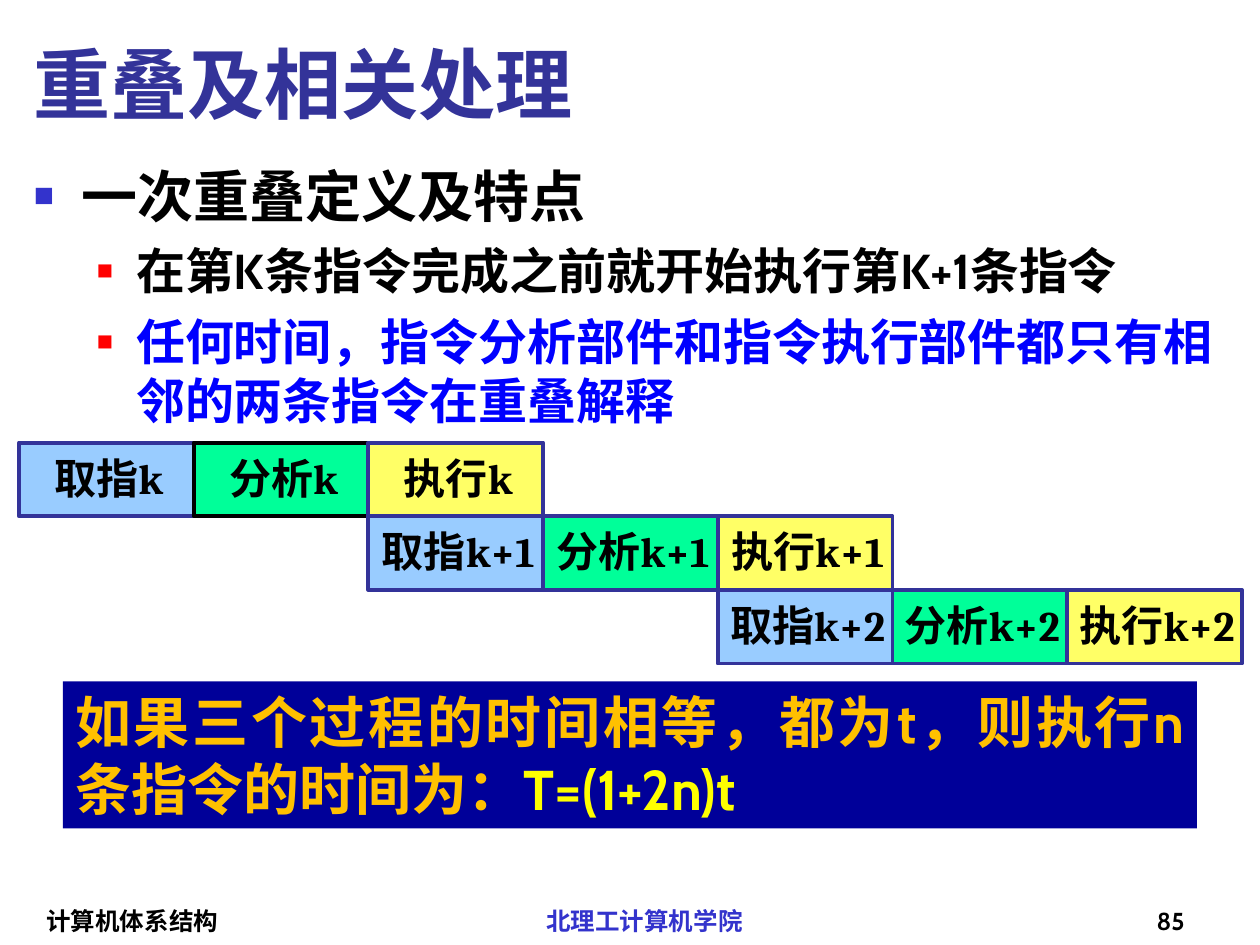
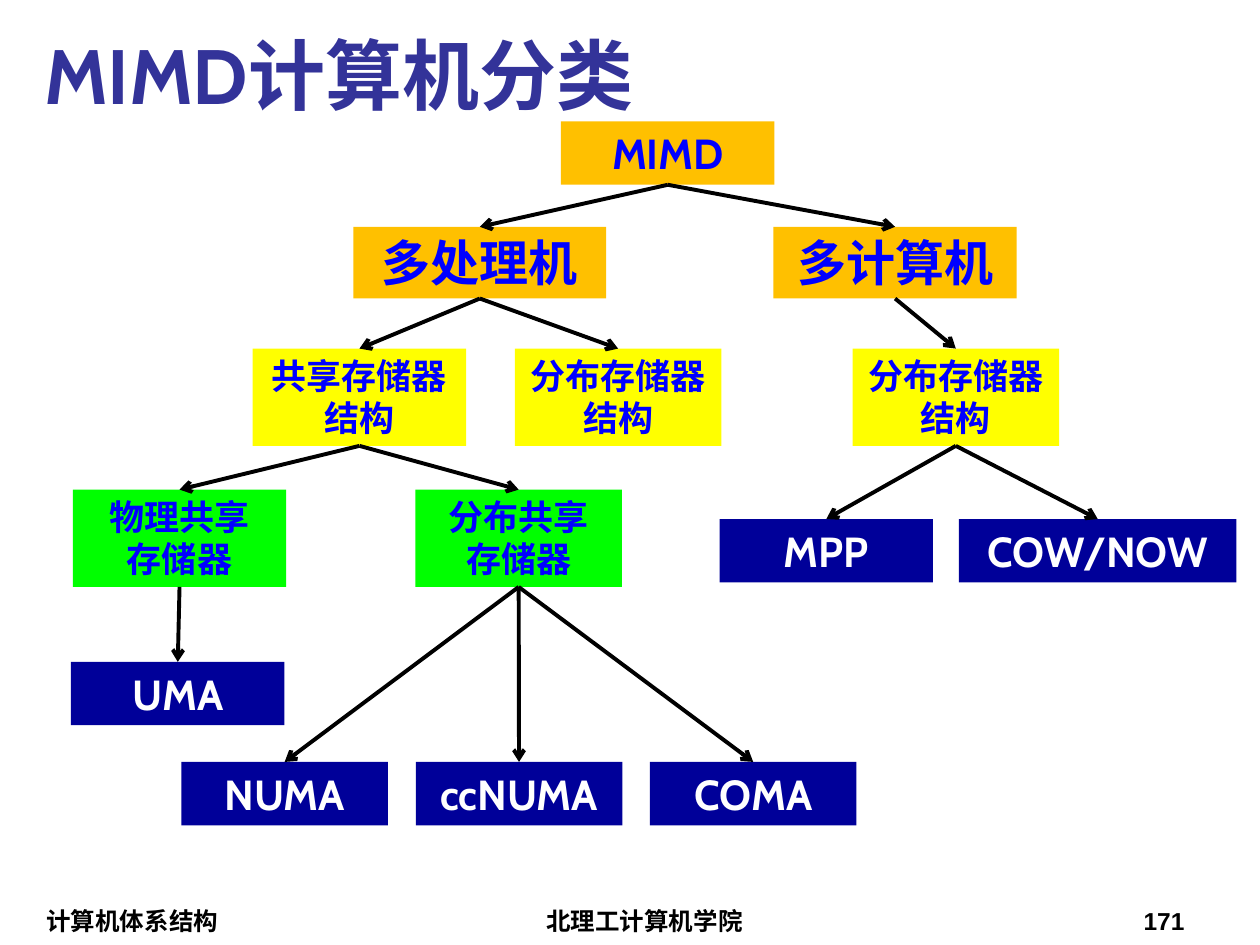
from lxml.etree import SubElement
from pptx import Presentation
from pptx.dml.color import RGBColor
from pptx.enum.shapes import MSO_CONNECTOR, MSO_SHAPE
from pptx.enum.text import MSO_ANCHOR, MSO_AUTO_SIZE, PP_ALIGN
from pptx.oxml.ns import qn
from pptx.util import Pt

HUES = {
    "title": "333399", "mark": "3333CC", "red": "FF0000", "black": "000000",
    "blue": "0000FF", "navy": "000099", "gold": "FFC000", "yellow": "FFFF00",
    "green": "00FF00", "white": "FFFFFF", "sky": "99CCFF", "mint": "00FF99",
    "lemon": "FFFF66",
}
LEFT, MID, RIGHT, FULL = (PP_ALIGN.LEFT, PP_ALIGN.CENTER,
                          PP_ALIGN.RIGHT, PP_ALIGN.JUSTIFY)


def hue(name):
    return RGBColor.from_string(HUES[name])


def put(item, values):
    for key, value in values.items():
        setattr(item, key, value)


def node(host, tag, **attrs):
    return SubElement(host, qn(tag), attrs)


class Deck:
    face = "Cabin"
    frame = {"word_wrap": True, "auto_size": MSO_AUTO_SIZE.NONE,
             "margin_left": Pt(7.2), "margin_right": Pt(7.2),
             "margin_top": Pt(3.6), "margin_bottom": Pt(3.6)}

    def __init__(self):
        self.show = Presentation()
        put(self.show, {"slide_width": Pt(720), "slide_height": Pt(540)})
        self.slide = None

    def start(self, layout):
        self.slide = self.show.slides.add_slide(self.show.slide_layouts[layout])

    def place(self, shape, area):
        put(shape, dict(zip(("left", "top", "width", "height"), map(Pt, area))))

    def add_run(self, para, text, size, color, face=None):
        run = para.add_run()
        run.text = text
        put(run.font, {"size": Pt(size), "bold": True, "name": face or self.face})
        run.font.color.rgb = hue(color)
        node(run.font._element, "a:ea", typeface=self.face)

    def label(self, shape, lines, size, color, face=None, frame=None, **form):
        """Each line is a string, or a list of (text, color) runs."""
        body = shape.text_frame
        put(body, {**self.frame, **(frame or {})})
        for i, line in enumerate(lines):
            para = body.paragraphs[0] if i == 0 else body.add_paragraph()
            put(para, form)
            runs = [(line, color)] if isinstance(line, str) else line
            for text, tint in runs:
                self.add_run(para, text, size, tint, face)

    def title(self, text, area):
        shape = self.slide.shapes.title
        self.place(shape, area)
        self.label(shape, [text], 44, "title", alignment=LEFT,
                   frame={"vertical_anchor": MSO_ANCHOR.BOTTOM})

    def points(self, items, area):
        shape = self.slide.placeholders[1]
        self.place(shape, area)
        put(shape.text_frame, self.frame)
        # size, space before, left, hang, bullet hue, bullet percent
        looks = [(32, 8, 27, 27, "mark", 60), (28, 7, 58.4, 22.4, "red", 55)]
        for i, (level, text, color) in enumerate(items):
            size, gap, left, hang, mark, part = looks[level]
            body = shape.text_frame
            para = body.add_paragraph() if i else body.paragraphs[0]
            put(para, {"level": level, "space_before": Pt(gap if i else 0)})
            props = para._p.get_or_add_pPr()
            props.set("marL", str(Pt(left)))
            props.set("indent", str(-Pt(hang)))
            node(node(props, "a:buClr"), "a:srgbClr", val=HUES[mark])
            node(props, "a:buSzPct", val=str(part * 1000))
            node(props, "a:buFont", typeface="Arial")
            node(props, "a:buChar", char="■")
            self.add_run(para, text, size, color)

    def box(self, area, fill, edge=None):
        shape = self.slide.shapes.add_shape(MSO_SHAPE.RECTANGLE, *map(Pt, area))
        shape.shadow.inherit = False
        shape.fill.solid()
        shape.fill.fore_color.rgb = hue(fill)
        if edge:
            shape.line.color.rgb = hue(edge)
            shape.line.width = Pt(2.25)
        else:
            shape.line.fill.background()
        shape.text_frame.vertical_anchor = MSO_ANCHOR.TOP
        return shape

    def arrow(self, start, end):
        line = self.slide.shapes.add_connector(MSO_CONNECTOR.STRAIGHT, 0, 0, 0, 0)
        line.begin_connect(start, 2)
        line.end_connect(end, 0)
        line.line.width = Pt(2.25)
        line.line.color.rgb = hue("black")
        props = line._element.spPr
        node(props.find(qn("a:ln")), "a:tailEnd", type="arrow")
        node(props, "a:effectLst")

    def foot(self, number, face, tint):
        parts = [("计算机体系结构", 19.4, 181.4, LEFT, "black"),
                 ("北理工计算机学院", 212.4, 311.8, MID, tint),
                 (number, 534.2, 149.8, RIGHT, "black")]
        for text, left, width, side, color in parts:
            shape = self.slide.shapes.add_textbox(
                Pt(left), Pt(514), Pt(width), Pt(23.8))
            self.label(shape, [text], 14, color, face, alignment=side,
                       frame={"vertical_anchor": MSO_ANCHOR.BOTTOM})


def overlap(deck):
    deck.start(1)
    deck.title("重叠及相关处理", (12.2, 16.6, 692, 60.5))
    deck.points([
        (0, "一次重叠定义及特点", "black"),
        (1, "在第K条指令完成之前就开始执行第K+1条指令", "black"),
        (1, "任何时间，指令分析部件和指令执行部件都只有相邻的两条指令在重叠解释",
         "blue"),
    ], (12.2, 88.6, 693.4, 414))

    # Pipeline: each row starts two stages later than the one above
    wide, high = 99.85, 42.1
    tight = {"word_wrap": False, "vertical_anchor": MSO_ANCHOR.MIDDLE,
             "margin_left": Pt(5.76), "margin_right": Pt(2.88),
             "margin_top": Pt(2.88), "margin_bottom": 0}
    stages = [("取指", "sky"), ("分析", "mint"), ("执行", "lemon")]
    for row, step in enumerate(("k", "k+1", "k+2")):
        for col, (stage, fill) in enumerate(stages):
            edge = "black" if (row, col) == (0, 1) else "title"
            area = (10.8 + (2 * row + col) * wide, 252.9 + row * high, wide, high)
            deck.label(deck.box(area, fill, edge), [stage + step], 24, "black",
                       "Cambria", tight, alignment=MID, line_spacing=0.8)

    # Result
    deck.label(deck.box((36, 389.4, 648, 84), "navy"),
               [[("如果三个过程的时间相等，都为t，则执行n条指令的时间为：", "gold"),
                 ("T=(1+2n)t", "yellow")]], 32, "gold", alignment=FULL)
    deck.foot("85", None, "mark")


def classes(deck):
    deck.start(5)
    deck.title("MIMD计算机分类", (18, 0, 684, 72))

    # Kind of box: height, fill, text hue, size, face
    kinds = {
        "root": (36.2, "gold", "blue", 24, "Cabin"),
        "type": (41, "gold", "blue", 28, "Arial"),
        "form": (55.6, "yellow", "blue", 20, "Arial"),
        "share": (55.6, "green", "blue", 20, "Arial"),
        "leaf": (36.2, "navy", "white", 24, "Cabin"),
    }
    # Name: kind, left, top, width, lines, parent
    tree = {
        "mimd": ("root", 320.6, 69.4, 122, ["MIMD"], None),
        "proc": ("type", 202, 129.6, 144.4, ["多处理机"], "mimd"),
        "comp": ("type", 442, 129.6, 139, ["多计算机"], "mimd"),
        "shared": ("form", 144.4, 199.2, 122, ["共享存储器结构"], "proc"),
        "spread": ("form", 294.2, 199.2, 118, ["分布存储器结构"], "proc"),
        "apart": ("form", 487.2, 199.2, 118, ["分布存储器结构"], "comp"),
        "real": ("share", 41.6, 279.8, 122, ["物理共享", "存储器"], "shared"),
        "split": ("share", 237.4, 279.8, 118, ["分布共享", "存储器"], "shared"),
        "uma": ("leaf", 40.6, 378.2, 122, ["UMA"], "real"),
        "numa": ("leaf", 103.7, 435.4, 118, ["NUMA"], "split"),
        "cache": ("leaf", 237.6, 435.4, 118, ["ccNUMA"], "split"),
        "coma": ("leaf", 371.4, 435.4, 118, ["COMA"], "split"),
        "mpp": ("leaf", 411.2, 296.6, 122, ["MPP"], "apart"),
        "cow": ("leaf", 548, 296.6, 158.6, ["COW/NOW"], "apart"),
    }
    made = {}
    for name, (kind, left, top, width, lines, up) in tree.items():
        high, fill, color, size, face = kinds[kind]
        made[name] = deck.box((left, top, width, high), fill)
        deck.label(made[name], lines, size, color, face, alignment=MID)
        if up:
            deck.arrow(made[up], made[name])
    deck.foot("171", "Arial", "black")


def main():
    deck = Deck()
    overlap(deck)
    classes(deck)
    deck.show.save("out.pptx")


if __name__ == "__main__":
    main()
